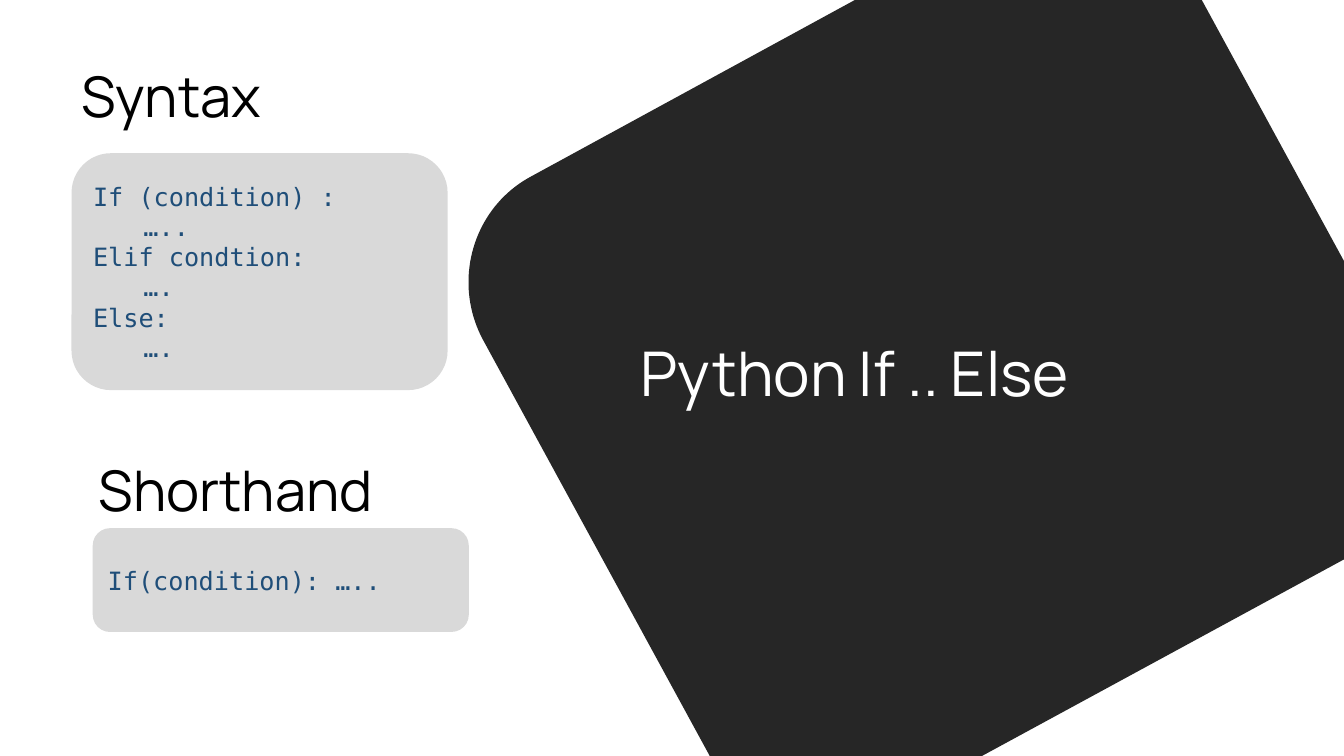
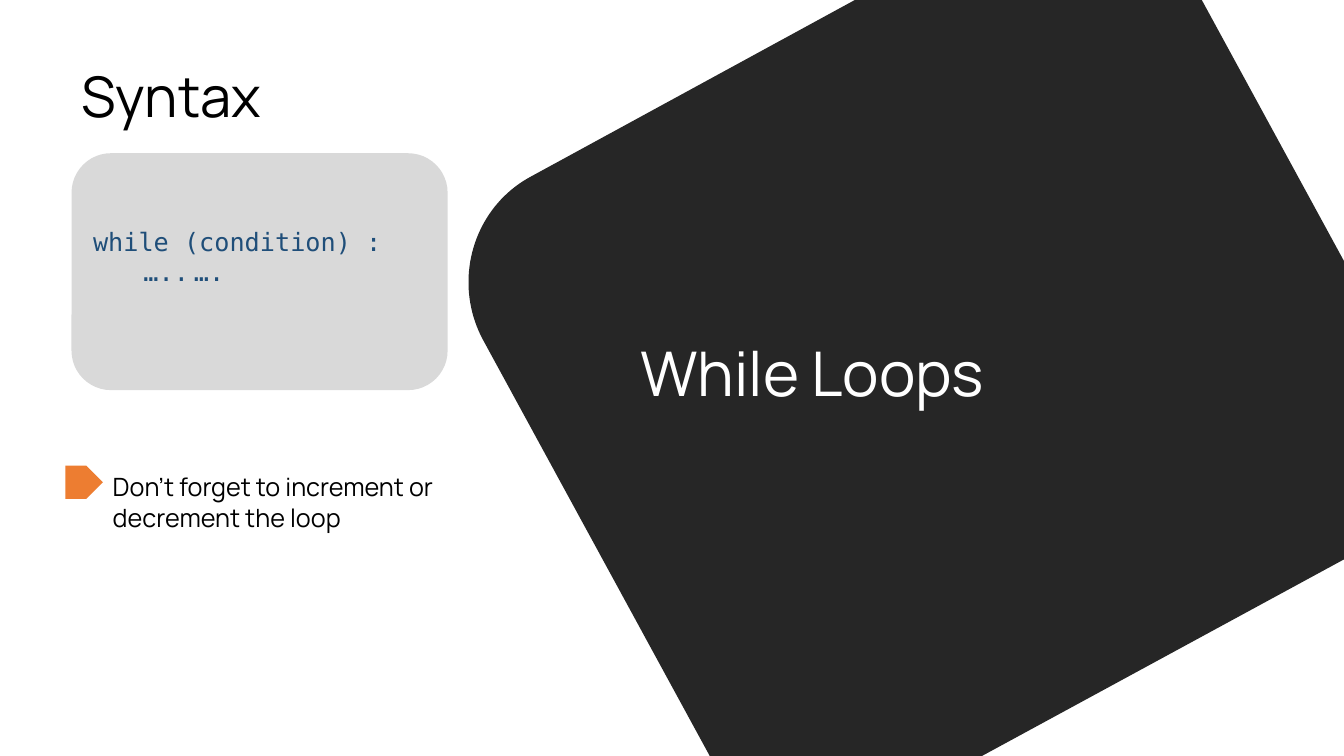
import pptx
import pptx.dml.color
import pptx.enum.shapes
import pptx.enum.text
import pptx.util

Inches = pptx.util.Inches
SHAPE = pptx.enum.shapes.MSO_SHAPE
ANCHOR = pptx.enum.text.MSO_ANCHOR
LEFT = pptx.enum.text.PP_ALIGN.LEFT


class Theme:
    sans, mono = "Manrope", "DejaVu Sans Mono"
    dark, white, black = "262626", "FFFFFF", "000000"
    panel, code, accent = "D9D9D9", "1F4E79", "ED7D31"
    title_size, heading_size, text_size = 44, 40, 18


TITLE_AREA = (6.25, 3.27, 7.08, 0.84)
SYNTAX_HEADING = ("Syntax", (0.71, 0.56, 2.48, 0.77))
SYNTAX_AREA = (0.71, 1.52, 3.73, 2.35)

# Each code panel: lines, area, bottom inset
PAGES = [
    {
        "title": "Python If .. Else",
        "headings": [SYNTAX_HEADING, ("Shorthand", (0.88, 4.47, 3.56, 0.77))],
        "panels": [
            (["If (condition) :", "\t…..", "Elif condtion:", "\t….", "Else:", "\t…."],
             SYNTAX_AREA, 0.05),
            (["If(condition): ….."], (0.92, 5.24, 3.73, 1.03), 0.05),
        ],
        "notes": [],
    },
    {
        "title": "While Loops",
        "headings": [SYNTAX_HEADING],
        "panels": [(["while (condition) :", "\t…..\t…."], SYNTAX_AREA, 0.35)],
        "notes": [("Don’t forget to increment or decrement the loop",
                   (1.02, 4.63, 3.6, 0.71), (0.65, 4.62, 0.37, 0.33))],
    },
]

TILE_EDGE = [(8.48, 0), (11.92, 0), (13.33, 2.59), (13.33, 5.55),
             (9.74, 7.5), (7.04, 7.5), (4.79, 3.37)]
TILE_CORNER = [(4.79, 3.37), (4.48, 2.79), (4.69, 2.06), (5.27, 1.75)]
CORNER_STEPS = 40


def rgb(value):
    return pptx.dml.color.RGBColor.from_string(value)


def inches(values):
    return [Inches(value) for value in values]


def curve_point(controls, t):
    """Return the point at t on a cubic Bezier curve."""
    weights = ((1 - t) ** 3, 3 * t * (1 - t) ** 2, 3 * t * t * (1 - t), t ** 3)
    return tuple(sum(w * point[axis] for w, point in zip(weights, controls))
                 for axis in (0, 1))


def paint(shape, color):
    shape.shadow.inherit = False
    shape.fill.solid()
    shape.fill.fore_color.rgb = rgb(color)
    shape.line.fill.background()


def write(box, lines, font, size, color, anchor=ANCHOR.TOP):
    frame = box.text_frame
    frame.word_wrap = True
    frame.auto_size = pptx.enum.text.MSO_AUTO_SIZE.NONE
    frame.vertical_anchor = anchor
    for index, line in enumerate(lines):
        para = frame.add_paragraph() if index else frame.paragraphs[0]
        para.add_run().text = line
        para.alignment = LEFT
        para.font.name = font
        para.font.size = pptx.util.Pt(size)
        para.font.color.rgb = rgb(color)


def add_tile(page):
    """Draw the dark tilted tile behind everything else."""
    corner = [curve_point(TILE_CORNER, step / CORNER_STEPS)
              for step in range(1, CORNER_STEPS + 1)]
    start, *rest = [inches(point) for point in TILE_EDGE + corner]
    builder = page.shapes.build_freeform(*start)
    builder.add_line_segments(rest, close=True)
    tile = builder.convert_to_shape()
    paint(tile, Theme.dark)
    page.shapes._spTree.insert(2, tile._element)


def add_title(page, text):
    title = page.shapes.title
    title.left, title.top, title.width, title.height = inches(TITLE_AREA)
    write(title, [text], Theme.sans, Theme.title_size, Theme.white)


def add_text(page, text, area, size):
    box = page.shapes.add_textbox(*inches(area))
    write(box, [text], Theme.sans, size, Theme.black)


def add_panel(page, lines, area, bottom_inset):
    panel = page.shapes.add_shape(SHAPE.ROUNDED_RECTANGLE, *inches(area))
    paint(panel, Theme.panel)
    panel.text_frame.margin_bottom = Inches(bottom_inset)
    write(panel, lines, Theme.mono, Theme.text_size, Theme.code, ANCHOR.MIDDLE)


def add_note(page, text, area, marker_area):
    add_text(page, text, area, Theme.text_size)
    marker = page.shapes.add_shape(SHAPE.PENTAGON, *inches(marker_area))
    paint(marker, Theme.accent)


def main():
    deck = pptx.Presentation()
    deck.slide_width, deck.slide_height = Inches(13.33), Inches(7.5)
    title_only = deck.slide_layouts.get_by_name("Title Only")
    for content in PAGES:
        page = deck.slides.add_slide(title_only)
        add_tile(page)
        add_title(page, content["title"])
        for text, area in content["headings"]:
            add_text(page, text, area, Theme.heading_size)
        for panel in content["panels"]:
            add_panel(page, *panel)
        for note in content["notes"]:
            add_note(page, *note)
    deck.save("out.pptx")


if __name__ == "__main__":
    main()
